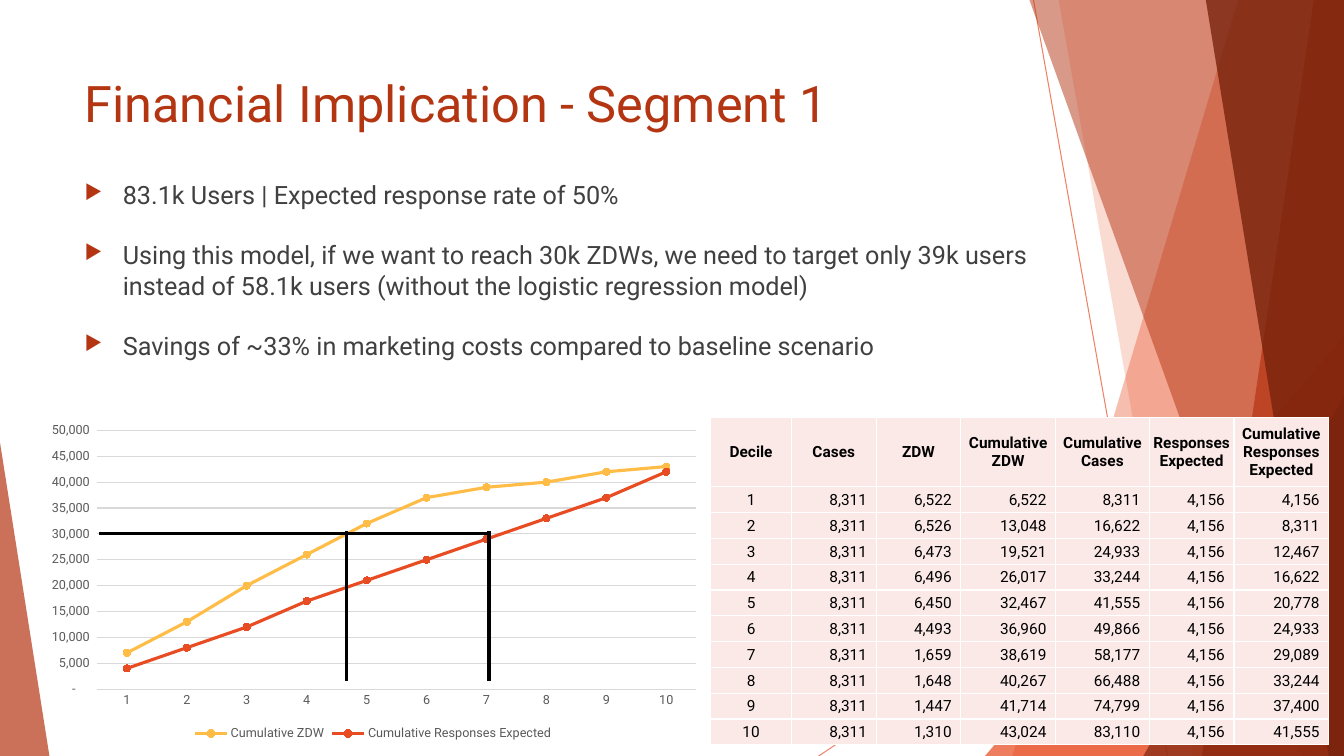
"""Build the Segment 1 financial implication slide."""
import itertools

import pptx
import pptx.chart.data
import pptx.dml.color
import pptx.enum.chart
import pptx.enum.shapes
import pptx.enum.text
import pptx.oxml
import pptx.oxml.ns
import pptx.util
from pptx.util import Inches, Pt


class Theme:
    font = "Roboto"
    orange, rust, maroon = "E84C22", "B53513", "78230D"
    heading, body, black, white = "B43512", "404040", "000000", "FFFFFF"
    amber, axis_text, grid, cell = "FFBD47", "595959", "D9D9D9", "FBE9E8"
    title_size, body_size, table_size, chart_size = Pt(36), Pt(18), Pt(11), Pt(9)
    hairline, marker_line = Pt(0.75), Pt(2.25)


def paint(target, color, opacity=100):
    """Give a fill a solid colour, optionally see-through."""
    target.solid()
    target.fore_color.rgb = pptx.dml.color.RGBColor.from_string(color)
    if opacity < 100:
        srgb = target._xPr.find(".//" + pptx.oxml.ns.qn("a:srgbClr"))
        srgb.append(pptx.oxml.parse_xml(
            f'<a:alpha {pptx.oxml.ns.nsdecls("a")} val="{opacity * 1000}"/>'))


def style(font, size, color, bold=False):
    """Set the typeface, size, colour and weight of a font."""
    font.name, font.size, font.bold = Theme.font, size, bold
    paint(font.fill, color)


deck = pptx.Presentation()
deck.slide_width, deck.slide_height = Inches(13.33), Inches(7.5)
slide = deck.slides.add_slide(deck.slide_layouts[6])
shapes = slide.shapes

rays = [
    (10.25, 0, 11.58, 7.5, Theme.orange, Theme.hairline, 70),
    (13.33, 4.03, 8.12, 7.5, Theme.orange, Theme.hairline, 70),
]
guides = [
    (0.98, 5.29, 4.85, 5.29, Theme.black, Theme.marker_line, 100),
    (3.44, 5.27, 3.44, 6.76, Theme.black, Theme.marker_line, 100),
    (4.85, 5.27, 4.85, 6.76, Theme.black, Theme.marker_line, 100),
]

facets = [
    ("facet", (12.28, 10.04), Theme.orange, 36),
    ("facet", (10.5, 11.83), Theme.orange, 20),
    ("wedge", (9.77, 3.33, 3.56, 4.17, 1), Theme.orange, 72),
    ("facet", (10.21, 12.91), Theme.rust, 50),
    ("facet", (13.03, 11.92), Theme.rust, 70),
    ("facet", (11.96, 13.18), Theme.maroon, 80),
    ("wedge", (11.34, 3.93, 1.99, 3.57, 1), Theme.maroon, 66),
    ("wedge", (0, 4.39, 0.49, 3.11, 0), Theme.rust, 70),
]

cases = 8311
zdw = [6522, 6526, 6473, 6496, 6450, 4493, 1659, 1648, 1447, 1310]
deciles = range(1, len(zdw) + 1)
cumulative_zdw = list(itertools.accumulate(zdw))
cumulative_responses = [(cases * decile + 1) // 2 for decile in deciles]

for kind, outline, color, opacity in facets:
    if kind == "facet":
        top_x, bottom_x = outline
        builder = shapes.build_freeform(Inches(top_x), 0)
        builder.add_line_segments([
            (Inches(13.33), 0), (Inches(13.33), Inches(7.5)), (Inches(bottom_x), Inches(7.5))])
        facet = builder.convert_to_shape()
    else:
        *box, apex = outline
        facet = shapes.add_shape(
            pptx.enum.shapes.MSO_SHAPE.ISOSCELES_TRIANGLE, *map(Inches, box))
        facet.adjustments[0] = apex
    facet.shadow.inherit = False
    facet.line.fill.background()
    paint(facet.fill, color, opacity)

title = shapes.add_textbox(Inches(0.74), Inches(0.67), Inches(9.75), Inches(1.44)).text_frame
title.word_wrap = True
title.text = "Financial Implication - Segment 1"
style(title.paragraphs[0].runs[0].font, Theme.title_size, Theme.heading)

findings = shapes.add_textbox(Inches(0.74), Inches(1.73), Inches(9.98), Inches(5.28)).text_frame
findings.word_wrap = True
findings.text = "\n".join([
    "83.1k Users | Expected response rate of 50%",
    "Using this model, if we want to reach 30k ZDWs, we need to target only 39k users "
    "instead of 58.1k users (without the logistic regression model)",
    "Savings of ~33% in marketing costs compared to baseline scenario",
])
for index, finding in enumerate(findings.paragraphs):
    style(finding.runs[0].font, Theme.body_size, Theme.body)
    finding.space_before = Pt(21.5 if index else 0)
    indents = finding._p.get_or_add_pPr()
    indents.set("marL", str(Inches(0.38)))
    indents.set("indent", str(-Inches(0.38)))
    for bullet in (f'buClr {{}}><a:srgbClr val="{Theme.heading}"/></a:buClr>',
                   'buSzPct {} val="80000"/>', 'buChar {} char="▶"/>'):
        indents.append(pptx.oxml.parse_xml("<a:" + bullet.format(pptx.oxml.ns.nsdecls("a"))))

headers = ["Decile", "Cases", "ZDW", "Cumulative ZDW", "Cumulative Cases",
           "Responses Expected", "Cumulative Responses Expected"]
records = [headers] + [
    [str(decile)] + [f"{value:,}" for value in (
        cases, zdw[decile - 1], cumulative_zdw[decile - 1], cases * decile,
        cumulative_responses[0], cumulative_responses[decile - 1])]
    for decile in deciles]
table_height, header_height = 3.25, 0.69
record_height = (table_height - header_height) / len(zdw)
table = shapes.add_table(len(records), len(headers), Inches(7.05), Inches(4.14),
                         Inches(6.13), Inches(table_height)).table
for column, width in zip(table.columns, [0.8, 0.84, 0.84, 0.94, 0.93, 0.84, 0.94]):
    column.width = Inches(width)
for row_index, record in enumerate(records):
    table.rows[row_index].height = Inches(record_height if row_index else header_height)
    for column_index, entry in enumerate(record):
        numeric = row_index > 0 and column_index > 0
        cell = table.cell(row_index, column_index)
        cell.text = entry
        cell.vertical_anchor = pptx.enum.text.MSO_ANCHOR.MIDDLE
        cell.margin_left = cell.margin_top = Inches(0.01)
        cell.margin_right = Inches(0.09 if numeric else 0.01)
        cell.margin_bottom = 0
        paragraph = cell.text_frame.paragraphs[0]
        paragraph.alignment = (pptx.enum.text.PP_ALIGN.RIGHT if numeric
                               else pptx.enum.text.PP_ALIGN.CENTER)
        style(paragraph.runs[0].font, Theme.table_size, Theme.black, row_index == 0)
        paint(cell.fill, Theme.cell)
        for position, side in enumerate("LRTB"):
            cell._tc.get_or_add_tcPr().insert(position, pptx.oxml.parse_xml(
                f'<a:ln{side} {pptx.oxml.ns.nsdecls("a")} w="{Pt(1)}"><a:solidFill>'
                f'<a:srgbClr val="{Theme.white}"/></a:solidFill></a:ln{side}>'))

gains = pptx.chart.data.CategoryChartData()
gains.categories = [str(decile) for decile in deciles]
for name, totals in (("Cumulative ZDW", cumulative_zdw),
                     ("Cumulative Responses Expected", cumulative_responses)):
    gains.add_series(name, [round(total, -3) for total in totals])
chart = shapes.add_chart(pptx.enum.chart.XL_CHART_TYPE.LINE_MARKERS, Inches(0.36), Inches(4.14),
                         Inches(6.68), Inches(3.25), gains).chart
style(chart.font, Theme.chart_size, Theme.axis_text)
chart.has_title = False
chart.has_legend = True
chart.legend.position = pptx.enum.chart.XL_LEGEND_POSITION.BOTTOM
chart.legend.include_in_layout = False
style(chart.legend.font, Theme.chart_size, Theme.axis_text)
chart.plots[0].vary_by_categories = False
for series, color in zip(chart.plots[0].series, [Theme.amber, Theme.orange]):
    series.smooth = False
    series.format.line.width = Theme.marker_line
    series.marker.style = pptx.enum.chart.XL_MARKER_STYLE.CIRCLE
    series.marker.size = 5
    for part in (series.format.line.fill, series.marker.format.fill,
                 series.marker.format.line.fill):
        paint(part, color)
for axis in (chart.category_axis, chart.value_axis):
    axis.major_tick_mark = axis.minor_tick_mark = pptx.enum.chart.XL_TICK_MARK.NONE
    style(axis.tick_labels.font, Theme.chart_size, Theme.axis_text)
chart.value_axis.minimum_scale, chart.value_axis.maximum_scale = 0, 50000
chart.value_axis.major_unit = 5000
chart.value_axis.tick_labels.number_format = r'_(* #,##0_);_(* \(#,##0\);_(* "-"??_);_(@_)'
chart.value_axis.tick_labels.number_format_is_linked = False
chart.value_axis.format.line.fill.background()
for rule in (chart.category_axis.format.line, chart.value_axis.major_gridlines.format.line):
    rule.width = Theme.hairline
    paint(rule.fill, Theme.grid)
plot_area = chart._chartSpace.chart.plotArea
for layout in plot_area.findall(pptx.oxml.ns.qn("c:layout")):
    plot_area.remove(layout)
plot_area.insert(0, pptx.oxml.parse_xml(
    f'<c:layout {pptx.oxml.ns.nsdecls("c")}><c:manualLayout><c:layoutTarget val="inner"/>'
    '<c:xMode val="edge"/><c:yMode val="edge"/><c:x val="0.09"/><c:y val="0.04"/>'
    '<c:w val="0.89"/><c:h val="0.79"/></c:manualLayout></c:layout>'))

for x1, y1, x2, y2, color, width, opacity in rays + guides:
    line = shapes.add_connector(pptx.enum.shapes.MSO_CONNECTOR.STRAIGHT,
                                *map(Inches, (x1, y1, x2, y2)))
    line.line.width = width
    paint(line.line.fill, color, opacity)
    line._element.spPr.append(
        pptx.oxml.parse_xml(f'<a:effectLst {pptx.oxml.ns.nsdecls("a")}/>'))
    if opacity < 100:
        shapes._spTree.insert(2, line._element)

deck.save("out.pptx")
